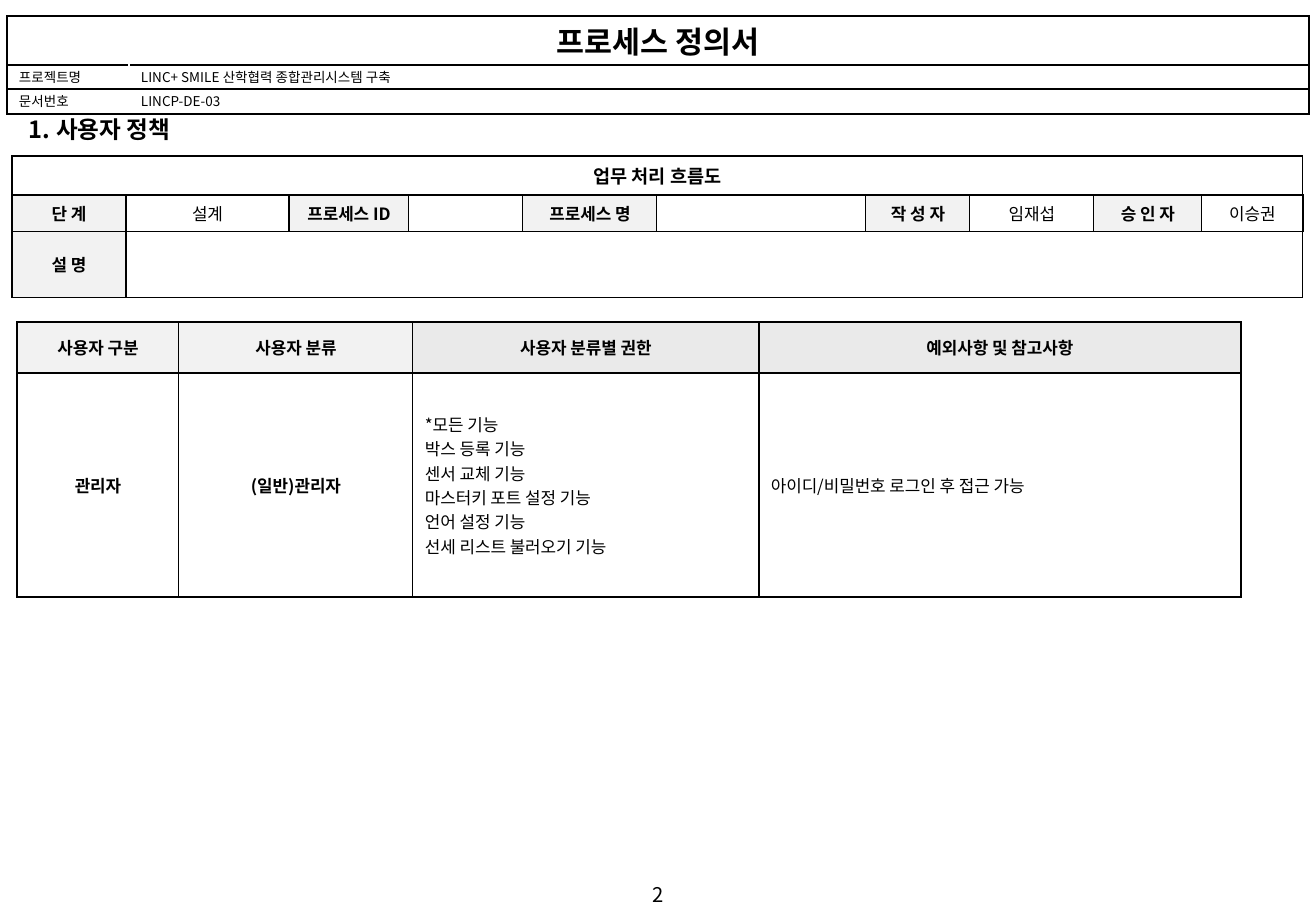
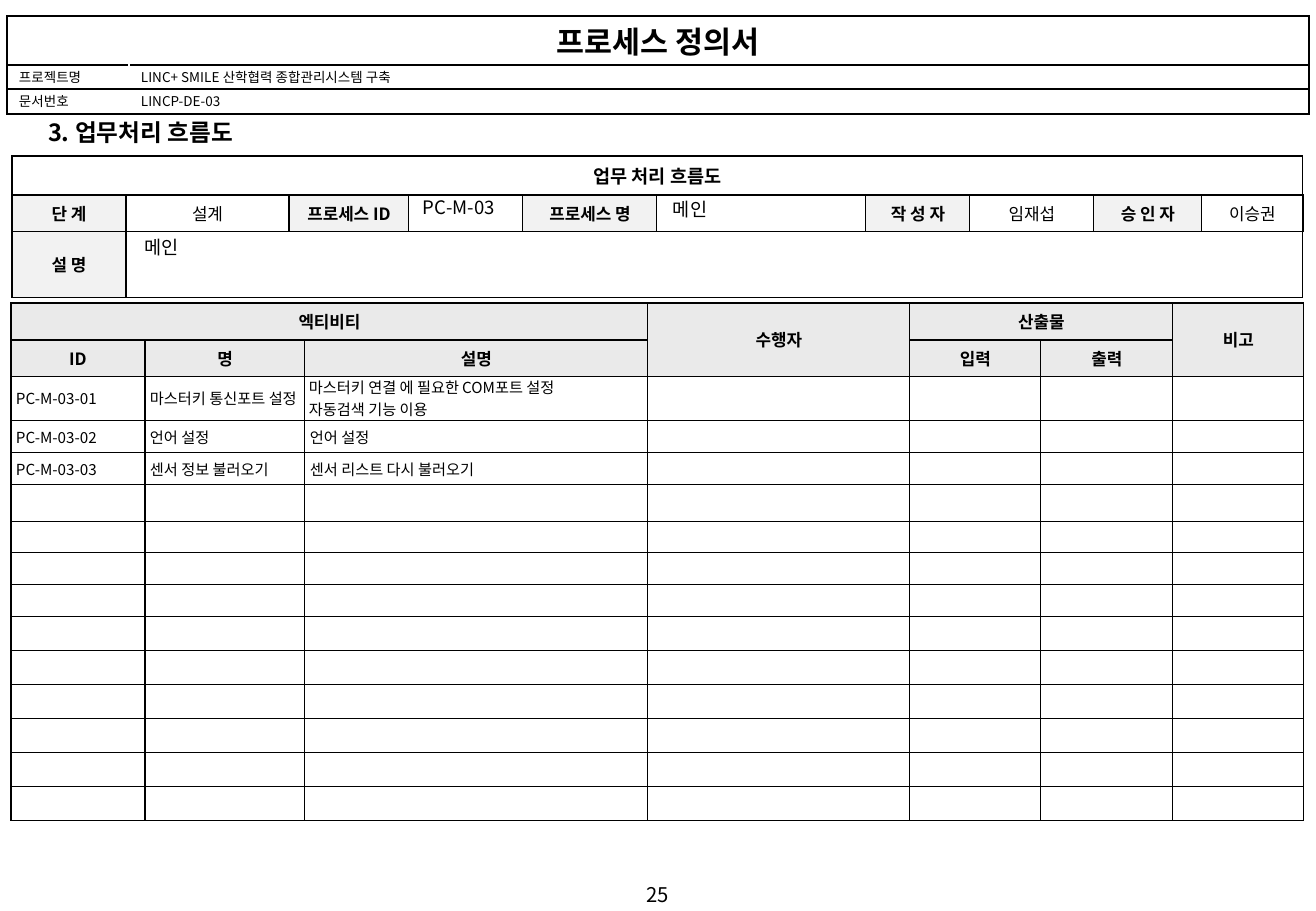
import dataclasses

import lxml.etree
import pptx
import pptx.dml.color
import pptx.enum.text
import pptx.oxml.ns
import pptx.util

PX = 7526  # EMU in one px
SLIDE_SIZE = (1316, 911)
FONT = "Noto Sans CJK KR"
BLACK, WHITE, LABEL_GRAY, HEAD_GRAY = "000000", "FFFFFF", "F2F2F2", "EAEAEA"
THIN, THICK = 0.75, 1
LEFT = pptx.enum.text.PP_ALIGN.LEFT
CENTER = pptx.enum.text.PP_ALIGN.CENTER
TOP = pptx.enum.text.MSO_ANCHOR.TOP
MIDDLE = pptx.enum.text.MSO_ANCHOR.MIDDLE
WIDE_INSETS, SLIM_INSETS, SMALL_INSETS = (12, 6), (12, 2), (5, 5)


@dataclasses.dataclass
class Cell:
    text: str = ""
    size: int = 10
    bold: bool = False
    fill: str = WHITE
    align: object = CENTER
    anchor: object = MIDDLE
    insets: tuple = WIDE_INSETS
    span: tuple = (1, 1)


def px(length):
    return pptx.util.Emu(length * PX)


def color(hex_value):
    return pptx.dml.color.RGBColor.from_string(hex_value)


# Text
def write_text(frame, text, size, bold=False, align=LEFT):
    for index, line in enumerate(text.split("\n")):
        paragraph = frame.paragraphs[0] if index == 0 else frame.add_paragraph()
        paragraph.alignment = align
        if not line:  # an empty cell keeps its row low
            paragraph._p.get_or_add_endParaRPr().set("sz", str(size * 100))
            continue
        run = paragraph.add_run()
        run.text = line
        run.font.size = pptx.util.Pt(size)
        run.font.bold = bold
        run.font.color.rgb = color(BLACK)
        run.font.name = FONT
        east_asian = lxml.etree.SubElement(
            run._r.get_or_add_rPr(), pptx.oxml.ns.qn("a:ea"))
        east_asian.set("typeface", FONT)


def set_insets(target, horizontal, vertical):
    target.margin_left = target.margin_right = px(horizontal)
    target.margin_top = target.margin_bottom = px(vertical)


def place_text(shape, box, text, size, bold=False, align=LEFT):
    shape.left, shape.top, shape.width, shape.height = map(px, box)
    frame = shape.text_frame
    frame.word_wrap = True
    frame.auto_size = pptx.enum.text.MSO_AUTO_SIZE.NONE
    frame.vertical_anchor = TOP
    set_insets(frame, *WIDE_INSETS)
    write_text(frame, text, size, bold, align)


def add_text(slide, box, text, size, align=LEFT):
    shape = slide.shapes.add_textbox(*map(px, box))
    place_text(shape, box, text, size, align=align)


# Tables
def set_border(cell, side, weight, line_color):
    line = lxml.etree.SubElement(
        cell._tc.get_or_add_tcPr(), pptx.oxml.ns.qn("a:ln" + side))
    line.set("w", str(pptx.util.Pt(weight)))
    fill = lxml.etree.SubElement(line, pptx.oxml.ns.qn("a:solidFill"))
    value = lxml.etree.SubElement(fill, pptx.oxml.ns.qn("a:srgbClr"))
    value.set("val", line_color)


def add_grid(slide, origin, columns, rows, cells, border):
    """cells maps (row, column) to Cell; border gives weight and colour of a side."""
    size = (sum(columns), sum(rows))
    table = slide.shapes.add_table(
        len(rows), len(columns), *map(px, origin + size)).table
    table.first_row = table.horz_banding = False
    for column, width in zip(table.columns, columns):
        column.width = px(width)
    for row, height in zip(table.rows, rows):
        row.height = px(height)
    for r in range(len(rows)):
        for c in range(len(columns)):
            target, content = table.cell(r, c), cells.get((r, c), Cell(size=9, insets=SMALL_INSETS))
            for side in "LRTB":
                set_border(target, side, *border(r, c, side))
            target.fill.solid()
            target.fill.fore_color.rgb = color(content.fill)
            set_insets(target, *content.insets)
            target.vertical_anchor = content.anchor
            write_text(target.text_frame, content.text, content.size,
                       content.bold, content.align)
    for (r, c), content in cells.items():
        if content.span != (1, 1):
            down, across = content.span
            table.cell(r, c).merge(table.cell(r + down - 1, c + across - 1))


def head(text, fill=HEAD_GRAY, **options):
    return Cell(text, bold=True, fill=fill, **options)


# Document band on top of every slide
def add_document_band(slide, origin):
    cells = {(0, 0): Cell("프로세스 정의서", 18, True, anchor=TOP,
                          insets=SLIM_INSETS, span=(1, 2))}
    fields = [("프로젝트명", "LINC+ SMILE 산학협력 종합관리시스템 구축"),
              ("문서번호", "LINCP-DE-03")]
    for r, field in enumerate(fields, 1):
        for c, text in enumerate(field):
            cells[r, c] = Cell(text, 8, align=LEFT, anchor=TOP, insets=SLIM_INSETS)

    def border(r, c, side):
        between_fields = r > 0 and (c, side) in ((0, "R"), (1, "L"))
        return THICK, WHITE if between_fields else BLACK

    add_grid(slide, origin, [122, 1180], [49, 24, 25], cells, border)


# Process summary under the heading
def add_process_summary(slide, origin):
    columns = [114, 163, 120, 114, 134, 209, 104, 124, 108, 101]
    rows = [39, 36, 66]
    cells = {(0, 0): head("업무 처리 흐름도", WHITE, size=11, span=(1, 10)),
             (2, 0): head("설 명", LABEL_GRAY),
             (2, 1): Cell(span=(1, 9))}
    pairs = [("단 계", "설계"), ("프로세스 ID", ""), ("프로세스 명", ""),
             ("작 성 자", "임재섭"), ("승 인 자", "이승권")]
    for index, (label, value) in enumerate(pairs):
        cells[1, 2 * index] = head(label, LABEL_GRAY)
        cells[1, 2 * index + 1] = Cell(value)

    def border(r, c, side):
        outer = {"L": c == 0, "R": c == len(columns) - 1,
                 "T": r == 0, "B": r == len(rows) - 1}
        return THICK if outer[side] else THIN, BLACK

    add_grid(slide, origin, columns, rows, cells, border)


# User rights by class
def add_user_policy(slide, origin):
    titles = ["사용자 구분", "사용자 분류", "사용자 분류별 권한", "예외사항 및 참고사항"]
    cells = {(0, c): head(text, LABEL_GRAY if c < 2 else HEAD_GRAY)
             for c, text in enumerate(titles)}
    rights = ["*모든 기능", "박스 등록 기능", "센서 교체 기능", "마스터키 포트 설정 기능",
              "언어 설정 기능", "선세 리스트 불러오기 기능"]
    cells[1, 0] = head("관리자", WHITE)
    cells[1, 1] = head("(일반)관리자", WHITE)
    cells[1, 2] = Cell("\n".join(rights), align=LEFT)
    cells[1, 3] = Cell("아이디/비밀번호 로그인 후 접근 가능", align=LEFT)

    def border(r, c, side):
        thick = (c, side) in ((0, "L"), (2, "R"), (3, "L"), (3, "R"))
        return THICK if thick else THIN, BLACK

    add_grid(slide, origin, [162, 234, 346, 482], [51, 224], cells, border)


# Activities of one process
def add_activities(slide, origin):
    columns = [134, 160, 343, 262, 131, 132, 131]
    rows = [37, 36, 44, 32, 31, 37, 31, 32, 32] + [34] * 6
    cells = {(0, 0): head("엑티비티", span=(1, 3)),
             (0, 3): head("수행자", span=(2, 1)),
             (0, 4): head("산출물", span=(1, 2)),
             (0, 6): head("비고", span=(2, 1))}
    for c, text in {0: "ID", 1: "명", 2: "설명", 4: "입력", 5: "출력"}.items():
        cells[1, c] = head(text)
    activities = [
        ("PC-M-03-01", "마스터키 통신포트 설정",
         "마스터키 연결 에 필요한 COM포트 설정\n자동검색 기능 이용"),
        ("PC-M-03-02", "언어 설정", "언어 설정"),
        ("PC-M-03-03", "센서 정보 불러오기", "센서 리스트 다시 불러오기")]
    for r, activity in enumerate(activities, 2):
        for c, text in enumerate(activity):
            insets = (4, 0) if "\n" in text else SMALL_INSETS
            cells[r, c] = Cell(text, 9, align=LEFT, insets=insets)

    def border(r, c, side):
        return THICK if (c, side) == (0, "L") else THIN, BLACK

    add_grid(slide, origin, columns, rows, cells, border)


# Parts that all slides share
def add_process_slide(presentation, heading, heading_box, page):
    slide = presentation.slides.add_slide(presentation.slide_layouts[5])
    place_text(slide.shapes.title, heading_box, heading, 14, bold=True)
    add_text(slide, (0, 876, 1316, 36), page, 12, CENTER)
    add_document_band(slide, (7, 16))
    add_process_summary(slide, (12, 156))
    return slide


def main():
    presentation = pptx.Presentation()
    presentation.slide_width, presentation.slide_height = map(px, SLIDE_SIZE)

    policy = add_process_slide(presentation, "1. 사용자 정책", (17, 109, 191, 41), "2")
    add_user_policy(policy, (17, 322))

    flow = add_process_slide(presentation, "3. 업무처리 흐름도", (36, 112, 238, 41), "25")
    add_activities(flow, (11, 303))
    for box, text in [((411, 190, 113, 35), "PC-M-03"),
                      ((661, 192, 208, 35), "메인"),
                      ((132, 230, 1158, 35), "메인")]:
        add_text(flow, box, text, 11)

    presentation.save("out.pptx")


if __name__ == "__main__":
    main()
